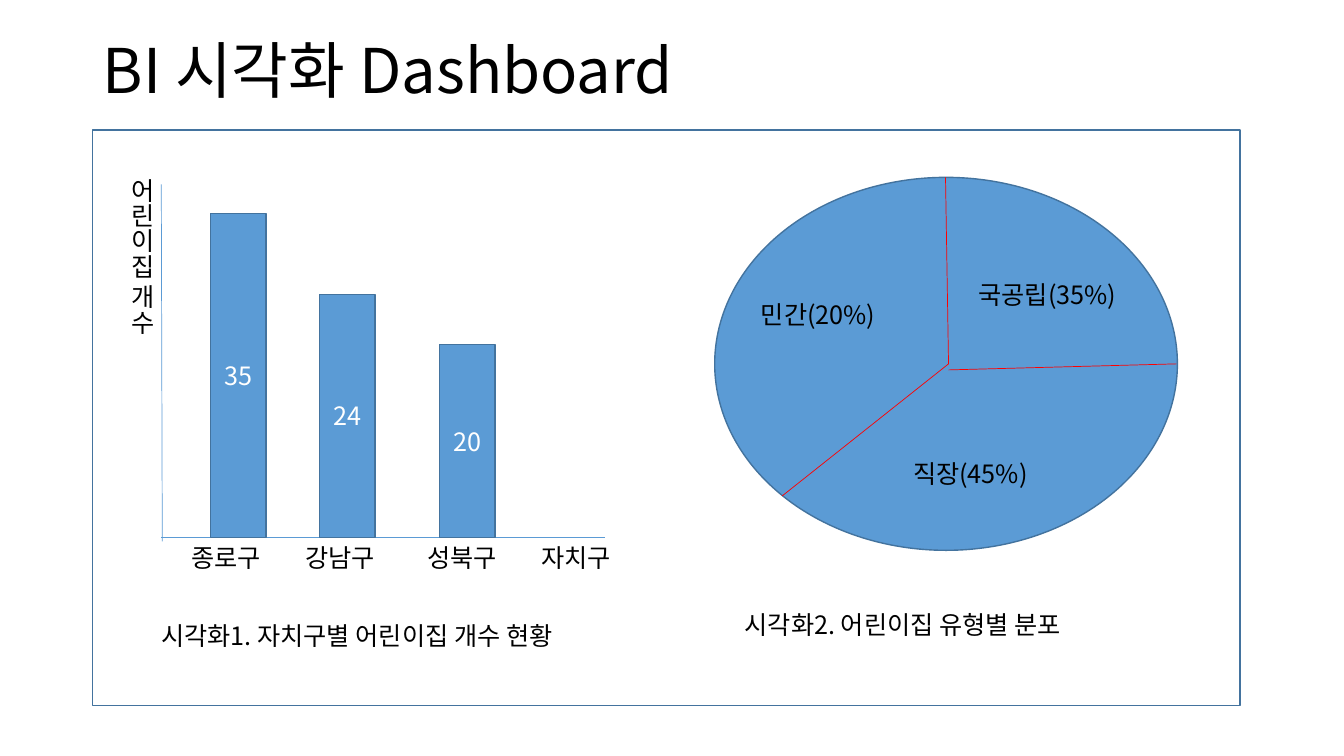
from lxml import etree
from pptx import Presentation
from pptx.dml.color import RGBColor
from pptx.enum.shapes import MSO_CONNECTOR, MSO_SHAPE
from pptx.enum.text import MSO_ANCHOR, PP_ALIGN
from pptx.oxml.ns import qn
from pptx.util import Inches, Pt

STRAIGHT = MSO_CONNECTOR.STRAIGHT
RECTANGLE, OVAL = MSO_SHAPE.RECTANGLE, MSO_SHAPE.OVAL
TOP, MIDDLE = MSO_ANCHOR.TOP, MSO_ANCHOR.MIDDLE
LEFT, CENTER = PP_ALIGN.LEFT, PP_ALIGN.CENTER

BLACK = RGBColor(0x00, 0x00, 0x00)
WHITE = RGBColor(0xFF, 0xFF, 0xFF)
BLUE = RGBColor(0x5B, 0x9B, 0xD5)
DARK_BLUE = RGBColor(0x43, 0x73, 0x9E)
RED = RGBColor(0xFF, 0x00, 0x00)
FONT = "Noto Sans CJK KR"

CELL = Inches(0.1)
COLUMNS, ROWS = 133.33, 75
LABEL_ROWS = 4

TITLE = "BI 시각화 Dashboard"
TITLE_BOX = (9.2, 0, 115, 14.5)
FRAME_BOX = (9.2, 12.9, 113.8, 57.1)

BASELINE, BAR_COLUMNS = 53.3, 5.5
AXES = [((16, BASELINE), (60, BASELINE)), ((16.1, 53.7), (16, 18.3))]
AXIS_NAME = ("어린이집 개수", (11.1, 16.7, 5, 26.7))
BARS = [("35", 20.9, 32.1), ("24", 31.7, 24.1), ("20", 43.6, 19.1)]
DISTRICTS = [("종로구", 18), ("강남구", 29.3), ("성북구", 41.4), ("자치구", 52.7)]
DISTRICT_COLUMNS = 10.5

PIE_BOX = (70.9, 17.6, 45.9, 37)
PIE_CENTER = (94.1, 36.1)
SPOKES = [((94.1, 36.7), (116.7, 36.1)), (PIE_CENTER, (93.8, 17.6)), (PIE_CENTER, (77.6, 49.2))]
SECTORS = [("국공립(35%)", 96.1, 27.2), ("직장(45%)", 89.6, 45), ("민간(20%)", 74.5, 29.2)]
SECTOR_COLUMNS = 22.4

CAPTIONS = [("시각화1. 자치구별 어린이집 개수 현황", 15, 61.1), ("시각화2. 어린이집 유형별 분포", 72.9, 60)]
CAPTION_COLUMNS = 48.2


def cells(lengths):
    return [round(length * CELL) for length in lengths]


def write(holder, words, size=18, color=BLACK, align=LEFT, anchor=TOP, spacing=1):
    frame = holder.text_frame
    frame.word_wrap = True
    frame.vertical_anchor = anchor
    paragraph = frame.paragraphs[0]
    paragraph.alignment = align
    paragraph.line_spacing = spacing
    run = paragraph.add_run()
    run.text = words
    for attribute, value in {"name": FONT, "size": Pt(size)}.items():
        setattr(run.font, attribute, value)
    run.font.color.rgb = color
    etree.SubElement(run.font._element, qn("a:ea"), typeface=FONT)


def add_label(slide, words, box):
    label = slide.shapes.add_textbox(*cells(box))
    write(label, words)
    return label


def add_block(slide, preset, box, fill=None):
    block = slide.shapes.add_shape(preset, *cells(box))
    block.shadow.inherit = False
    if fill is None:
        block.fill.background()
    else:
        block.fill.solid()
        block.fill.fore_color.rgb = fill
    block.line.color.rgb = DARK_BLUE
    block.line.width = Pt(1)
    return block


def add_rule(slide, start, end, color):
    rule = slide.shapes.add_connector(STRAIGHT, *cells(start + end))
    rule.line.color.rgb = color
    rule.line.width = Pt(0.5)
    etree.SubElement(rule._element.spPr, qn("a:effectLst"))


def add_bar_view(slide):
    for start, end in AXES:
        add_rule(slide, start, end, BLUE)
    axis_name = add_label(slide, *AXIS_NAME)
    axis_name.text_frame._txBody.bodyPr.set("vert", "eaVert")
    for count, left, height in BARS:
        bar = add_block(slide, RECTANGLE, (left, BASELINE - height, BAR_COLUMNS, height), BLUE)
        write(bar, count, color=WHITE, align=CENTER, anchor=MIDDLE)
    for district, left in DISTRICTS:
        add_label(slide, district, (left, BASELINE, DISTRICT_COLUMNS, LABEL_ROWS))


def add_pie_view(slide):
    add_block(slide, OVAL, PIE_BOX, BLUE)
    for start, end in SPOKES:
        add_rule(slide, start, end, RED)
    for sector, left, top in SECTORS:
        add_label(slide, sector, (left, top, SECTOR_COLUMNS, LABEL_ROWS))


def main():
    deck = Presentation()
    deck.slide_width, deck.slide_height = cells((COLUMNS, ROWS))
    slide = deck.slides.add_slide(deck.slide_layouts[5])
    title = slide.shapes.title
    for attribute, value in zip(("left", "top", "width", "height"), cells(TITLE_BOX)):
        setattr(title, attribute, value)
    write(title, TITLE, size=44, anchor=MIDDLE, spacing=0.9)
    add_block(slide, RECTANGLE, FRAME_BOX)
    add_bar_view(slide)
    add_pie_view(slide)
    for caption, left, top in CAPTIONS:
        add_label(slide, caption, (left, top, CAPTION_COLUMNS, LABEL_ROWS))
    deck.save("out.pptx")


if __name__ == "__main__":
    main()
